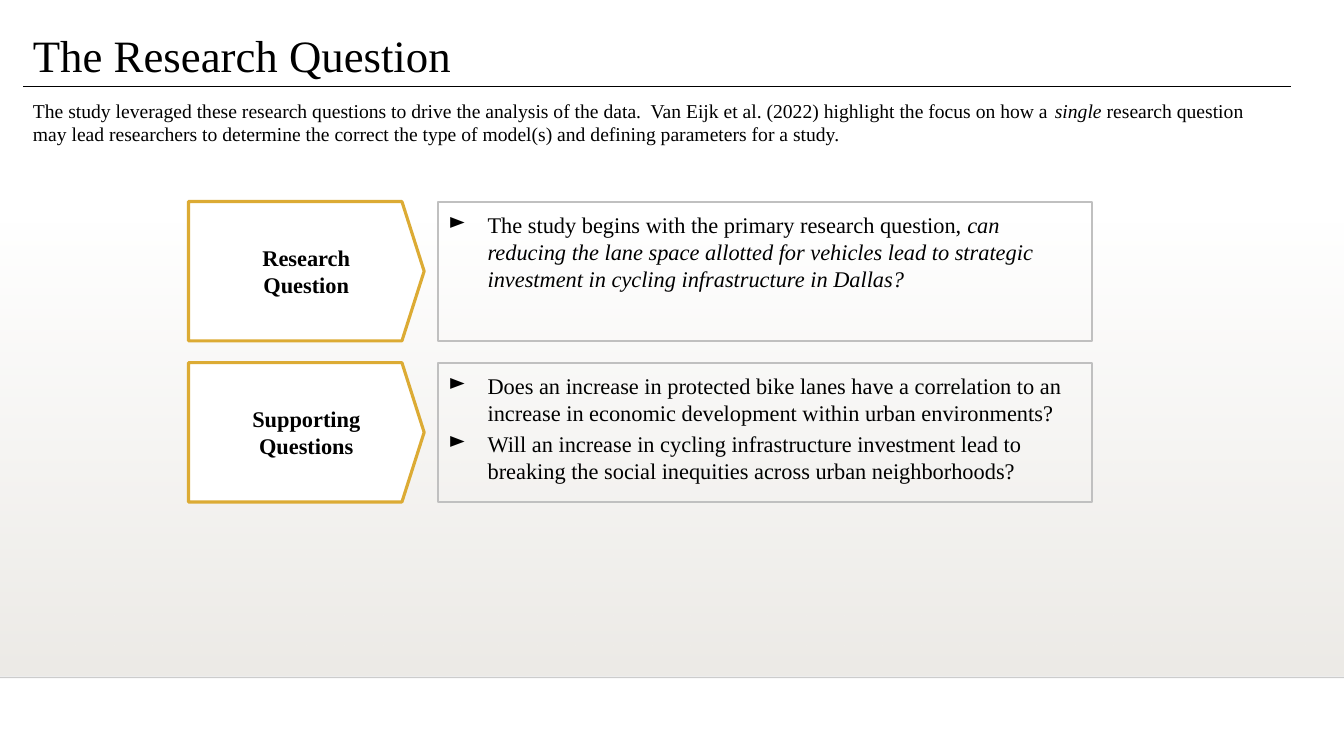
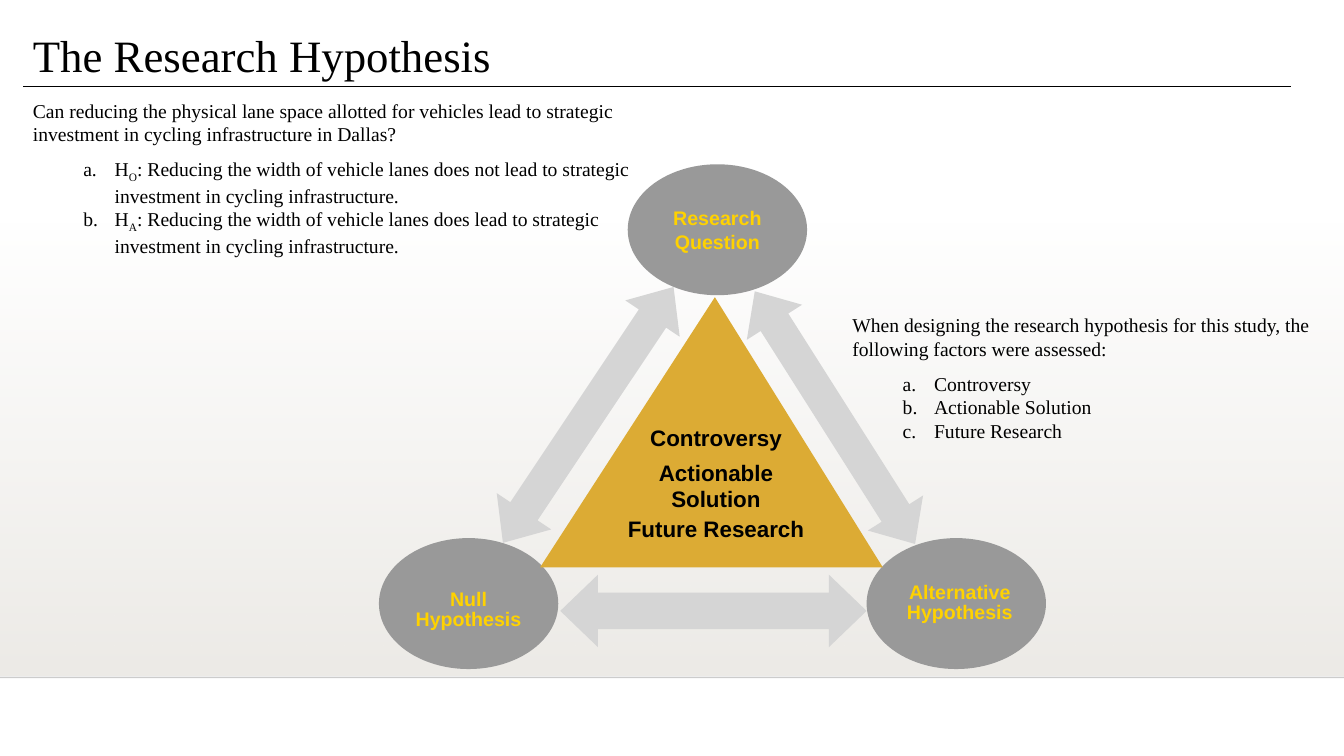
from dataclasses import dataclass

from lxml.etree import SubElement
from pptx import Presentation
from pptx.dml.color import RGBColor
from pptx.enum.shapes import MSO_CONNECTOR, MSO_SHAPE
from pptx.enum.text import MSO_ANCHOR as Anchor, PP_ALIGN as Align
from pptx.oxml.ns import qn
from pptx.util import Cm, Pt


@dataclass(frozen=True)
class Theme:
    serif: str = "Times New Roman"
    sans: str = "Arial"
    title: float = 32
    label: float = 16
    body: float = 14
    ink: str = "000000"
    paper: str = "FFFFFF"
    band: str = "EDEBE7"
    gold: str = "DCAB34"
    yellow: str = "FFD200"
    frame: str = "C0C0C0"
    node: str = "999999"
    arrow: str = "D5D5D5"


@dataclass(frozen=True)
class Box:
    """A region in centimetres."""
    left: float
    top: float
    width: float
    height: float

    def sub(self, dx, dy, width, height):
        return Box(self.left + dx, self.top + dy, width, height)

    def emu(self):
        return Cm(self.left), Cm(self.top), Cm(self.width), Cm(self.height)


T = Theme()
SLIDE = Box(0, 0, 33.87, 19.05)
ITALIC, SUB = "italic", "subscript"


def rgb(value):
    return RGBColor.from_string(value)


# Text
def add_paragraph(tf, runs, size, font=T.serif, color=T.ink, bold=False,
                  align=Align.LEFT, spacing=None, before=0, after=0, bullet=None):
    """Runs are a string or (text, style) pairs; bullet is (tag, attributes, margin, hang)."""
    first = tf.paragraphs[0]
    p = first if not first.runs else tf.add_paragraph()
    p.alignment, p.line_spacing = align, spacing
    p.space_before, p.space_after = Pt(before), Pt(after)
    if bullet:
        tag, attributes, margin, hang = bullet
        pPr = p._p.get_or_add_pPr()
        pPr.set("marL", str(Cm(margin)))
        pPr.set("indent", str(-Cm(hang)))
        SubElement(pPr, qn(tag), attributes)
    for text, style in [(runs, None)] if isinstance(runs, str) else runs:
        r = p.add_run()
        r.text = text
        r.font.name, r.font.size, r.font.bold = font, Pt(size), bold
        r.font.color.rgb = rgb(color)
        r.font.italic = style == ITALIC
        if style == SUB:
            r._r.get_or_add_rPr().set("baseline", "-25000")


def set_margins(tf, left, top, right, bottom):
    tf.margin_left, tf.margin_top = Cm(left), Cm(top)
    tf.margin_right, tf.margin_bottom = Cm(right), Cm(bottom)


def add_text_box(s, box, anchor=Anchor.TOP, wrap=True):
    tf = s.shapes.add_textbox(*box.emu()).text_frame
    tf.word_wrap, tf.vertical_anchor = wrap, anchor
    return tf


# Shapes
def add_preset(s, kind, box, fill=None, line=None, width=0, adjust=(), rotation=0):
    sp = s.shapes.add_shape(kind, *box.emu())
    sp.shadow.inherit = False
    sp.rotation = rotation
    for i, value in enumerate(adjust):
        sp.adjustments[i] = value
    if fill:
        sp.fill.solid()
        sp.fill.fore_color.rgb = rgb(fill)
    else:
        sp.fill.background()
    if line:
        sp.line.color.rgb = rgb(line)
        sp.line.width = Pt(width)
    else:
        sp.line.fill.background()
    return sp


def set_alpha(element, percent):
    color = next(element.iter(qn("a:srgbClr")))
    SubElement(color, qn("a:alpha"), val=str(percent * 1000))


def add_rule(s, left, right, y, width, alpha=None):
    c = s.shapes.add_connector(MSO_CONNECTOR.STRAIGHT, Cm(left), Cm(y), Cm(right), Cm(y))
    c.line.color.rgb = rgb(T.ink)
    c.line.width = Pt(width)
    spPr = c._element.spPr
    if alpha is not None:
        set_alpha(spPr, alpha)
    SubElement(spPr, qn("a:effectLst"))


# Shared frame: shaded band, bottom rule, title and title rule
def add_framed_slide(prs, title):
    s = prs.slides.add_slide(prs.slide_layouts[6])
    band = add_preset(s, MSO_SHAPE.RECTANGLE, SLIDE.sub(0, 5.59, SLIDE.width, 11.43))
    band.fill.gradient()
    band.fill.gradient_angle = 270
    for stop, position in zip(band.fill.gradient_stops, (0, 1)):
        stop.position = position
        stop.color.rgb = rgb(T.band)
    set_alpha(band._element.spPr, 0)
    add_rule(s, 0, SLIDE.width, 17.07, 1, alpha=20)
    tf = add_text_box(s, Box(0.58, 0.36, 26.92, 1.83), Anchor.BOTTOM)
    add_paragraph(tf, title, T.title, spacing=0.9)
    add_rule(s, 0.58, 32.54, 2.18, 0.75)
    return s


# Lead sentence with an optional lettered list
def add_lead(s, box, lead, items=()):
    tf = add_text_box(s, box)
    add_paragraph(tf, lead, T.body, after=8 if items else 0)
    letters = ("a:buAutoNum", {"type": "alphaLcPeriod"}, 2.06, 0.79)
    for item in items:
        add_paragraph(tf, item, T.body, bullet=letters)


# Arrow-shaped label beside a framed bullet list
def add_question_row(s, box, label, items):
    point = 0.56
    tag = add_preset(s, MSO_SHAPE.PENTAGON, box.sub(0, 0, 5.94, box.height),
                     T.paper, T.gold, 2.25, [point / box.height])
    tf = tag.text_frame
    tf.vertical_anchor = Anchor.MIDDLE
    set_margins(tf, 0.25 + point / 2, 0.25, 0.25, 0.25)
    for line in label:
        add_paragraph(tf, line, T.label, bold=True, align=Align.CENTER)

    list_left = 6.3
    frame = add_preset(s, MSO_SHAPE.RECTANGLE,
                       box.sub(list_left, 0, box.width - list_left, box.height),
                       line=T.frame, width=1.5)
    tf = frame.text_frame
    tf.word_wrap, tf.vertical_anchor = True, Anchor.TOP
    set_margins(tf, 0.25, 0.25, 0.25, 0.25)
    for item in items:
        add_paragraph(tf, item, T.label, before=3,
                      bullet=("a:buChar", {"char": "►"}, 0.99, 0.99))


# Triangle of factors between three linked nodes
def add_hypothesis_triangle(s, box):
    node_w, node_h = 4.52, 3.3
    low = box.height - node_h
    nodes = [  # label, x, y, line spacing, extra left and top inset
        (("Alternative", "Hypothesis"), box.width - node_w, low, 0.85, 0.18, 0),
        (("Research", "Question"), 6.27, 0, 1, 0, 0),
        (("Null", "Hypothesis"), 0, low, 0.85, 0, 0.36),
    ]
    for label, x, y, spacing, inset_x, inset_y in nodes:
        node = add_preset(s, MSO_SHAPE.OVAL, box.sub(x, y, node_w, node_h), T.node)
        tf = node.text_frame
        tf.word_wrap, tf.vertical_anchor = False, Anchor.MIDDLE
        set_margins(tf, 0.13 + inset_x, 0.13 + inset_y, 0.13, 0.13)
        for line in label:
            add_paragraph(tf, line, T.body, T.sans, T.yellow, True, Align.CENTER, spacing)

    add_preset(s, MSO_SHAPE.ISOSCELES_TRIANGLE, box.sub(4.06, 3.35, 8.64, 6.81),
               T.gold, adjust=[0.51])

    arrows = [  # x, y, length, thickness, head, rotation
        (4.57, 10.34, 7.72, 1.83, 0.52, 0),
        (1.4, 5.49, 7.75, 1.65, 0.58, 303.7),
        (7.72, 5.56, 7.54, 1.65, 0.56, 57.6),
    ]
    for x, y, length, thickness, head, rotation in arrows:
        add_preset(s, MSO_SHAPE.LEFT_RIGHT_ARROW, box.sub(x, y, length, thickness),
                   T.arrow, adjust=[0.5, head], rotation=rotation)

    factors = [(6.43, 0.94, ["Controversy"]),
               (7.29, 1.63, ["Actionable", "Solution"]),
               (8.71, 0.94, ["Future Research"])]
    for y, height, lines in factors:
        tf = add_text_box(s, box.sub(6.12, y, 4.75, height), wrap=False)
        set_margins(tf, 0.13, 0.13, 0.13, 0.13)
        for line in lines:
            add_paragraph(tf, line, T.label, T.sans, bold=True, align=Align.CENTER)


# Slides
def add_question_slide(prs):
    s = add_framed_slide(prs, "The Research Question")
    add_lead(s, Box(0.58, 2.36, 31.95, 1.45), [
        ("The study leveraged these research questions to drive the analysis of the data.  "
         "Van Eijk et al. (2022) highlight the focus on how a ", None),
        ("single", ITALIC),
        (" research question may lead researchers to determine the correct the type of "
         "model(s) and defining parameters for a study.", None)])
    rows = [
        (("Research", "Question"), [[
            ("The study begins with the primary research question, ", None),
            ("can reducing the lane space allotted for vehicles lead to strategic "
             "investment in cycling infrastructure in Dallas?", ITALIC)]]),
        (("Supporting", "Questions"), [
            "Does an increase in protected bike lanes have a correlation to an increase "
            "in economic development within urban environments?",
            "Will an increase in cycling infrastructure investment lead to breaking the "
            "social inequities across urban neighborhoods?"]),
    ]
    for i, (label, items) in enumerate(rows):
        add_question_row(s, Box(4.75, 5.08 + 4.06 * i, 22.78, 3.51), label, items)


def add_hypothesis_slide(prs):
    s = add_framed_slide(prs, "The Research Hypothesis")
    hypotheses = [
        [("H", None), (mark, SUB),
         (f": Reducing the width of vehicle lanes {verb} lead to strategic investment "
          "in cycling infrastructure.", None)]
        for mark, verb in (("O", "does not"), ("A", "does"))]
    add_lead(s, Box(0.58, 2.36, 16.81, 4.14),
             "Can reducing the physical lane space allotted for vehicles lead to strategic "
             "investment in cycling infrastructure in Dallas?", hypotheses)
    add_hypothesis_triangle(s, Box(9.55, 4.14, 16.81, 12.72))
    add_lead(s, Box(21.23, 7.77, 12.64, 4.14),
             "When designing the research hypothesis for this study, the following factors "
             "were assessed:", ["Controversy", "Actionable Solution", "Future Research"])


def main():
    prs = Presentation()
    prs.slide_width, prs.slide_height = Cm(SLIDE.width), Cm(SLIDE.height)
    add_question_slide(prs)
    add_hypothesis_slide(prs)
    prs.save("out.pptx")


if __name__ == "__main__":
    main()
